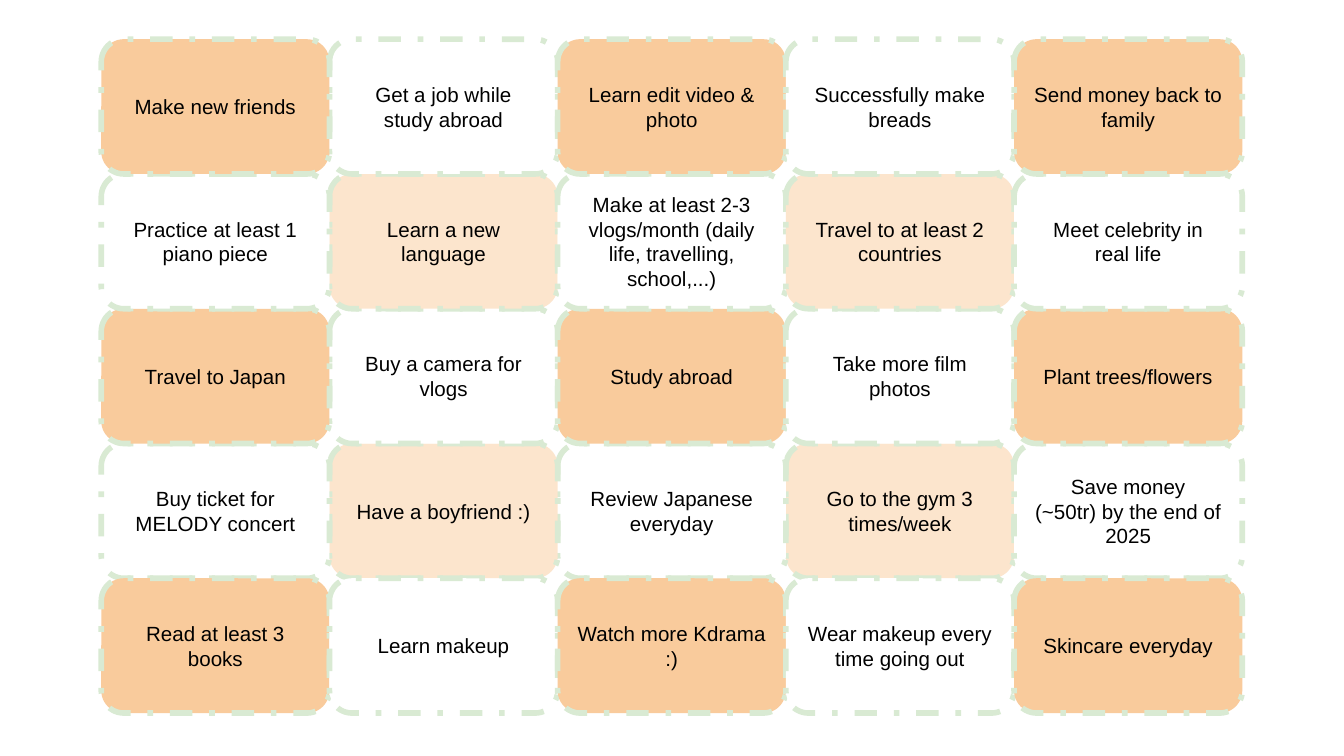
from pptx import Presentation
from pptx import util as u
from pptx.dml.color import RGBColor
from pptx.enum import dml, shapes, text

ORANGE = RGBColor(0xF9, 0xCB, 0x9C)
PEACH = RGBColor(0xFC, 0xE5, 0xCD)
WHITE = RGBColor(0xFF, 0xFF, 0xFF)
GREEN = RGBColor(0xD9, 0xEA, 0xD3)
BLACK = RGBColor(0x00, 0x00, 0x00)

# Bingo grid, in points
LEFT, TOP = 54.25, 21
CELL_WIDTH, CELL_HEIGHT = 122.25, 72.2
INSET = 7.2

GOALS = [
    ["Make new friends", "Get a job while study abroad", "Learn edit video & photo",
     "Successfully make breads", "Send money back to family"],
    ["Practice at least 1 piano piece", "Learn a new language",
     "Make at least 2-3 vlogs/month (daily life, travelling, school,...)",
     "Travel to at least 2 countries", "Meet celebrity in real life"],
    ["Travel to Japan", "Buy a camera for vlogs", "Study abroad",
     "Take more film photos", "Plant trees/flowers"],
    ["Buy ticket for MELODY concert", "Have a boyfriend :)", "Review Japanese everyday",
     "Go to the gym 3 times/week", "Save money\n(~50tr) by the end of 2025"],
    ["Read at least 3 books", "Learn makeup", "Watch more Kdrama :)",
     "Wear makeup every time going out", "Skincare everyday"],
]

# Rows from back to front, each with its columns from back to front
STACKING = [
    (3, (3, 2, 1, 0, 4)),
    (4, (0, 1, 2, 3, 4)),
    (2, (1, 2, 3, 4, 0)),
    (1, (1, 2, 3, 4, 0)),
    (0, (1, 2, 3, 4, 0)),
]

deck = Presentation()
deck.slide_width, deck.slide_height = u.Pt(720), u.Pt(405)
page = deck.slides.add_slide(deck.slide_layouts[6])

for row, columns in STACKING:
    for column in columns:
        # Rounded cell
        box = page.shapes.add_shape(
            shapes.MSO_SHAPE.ROUNDED_RECTANGLE,
            u.Pt(LEFT + column * CELL_WIDTH), u.Pt(TOP + row * CELL_HEIGHT),
            u.Pt(CELL_WIDTH), u.Pt(CELL_HEIGHT))
        box.shadow.inherit = False

        # Checkerboard: orange on even rows, peach on odd rows
        if (row + column) % 2:
            color = WHITE
        else:
            color = PEACH if row % 2 else ORANGE
        box.fill.solid()
        box.fill.fore_color.rgb = color
        box.line.color.rgb = GREEN
        box.line.width = u.Pt(3)
        box.line.dash_style = dml.MSO_LINE.DASH_DOT

        # Goal
        frame = box.text_frame
        frame.word_wrap = True
        frame.vertical_anchor = text.MSO_ANCHOR.MIDDLE
        frame.margin_left = frame.margin_right = u.Pt(INSET)
        frame.margin_top = frame.margin_bottom = u.Pt(INSET)
        frame.text = GOALS[row][column]
        for para in frame.paragraphs:
            para.alignment = text.PP_ALIGN.CENTER
            para.font.name = "Arial"
            para.font.size = u.Pt(11)
            para.font.color.rgb = BLACK

deck.save("out.pptx")
